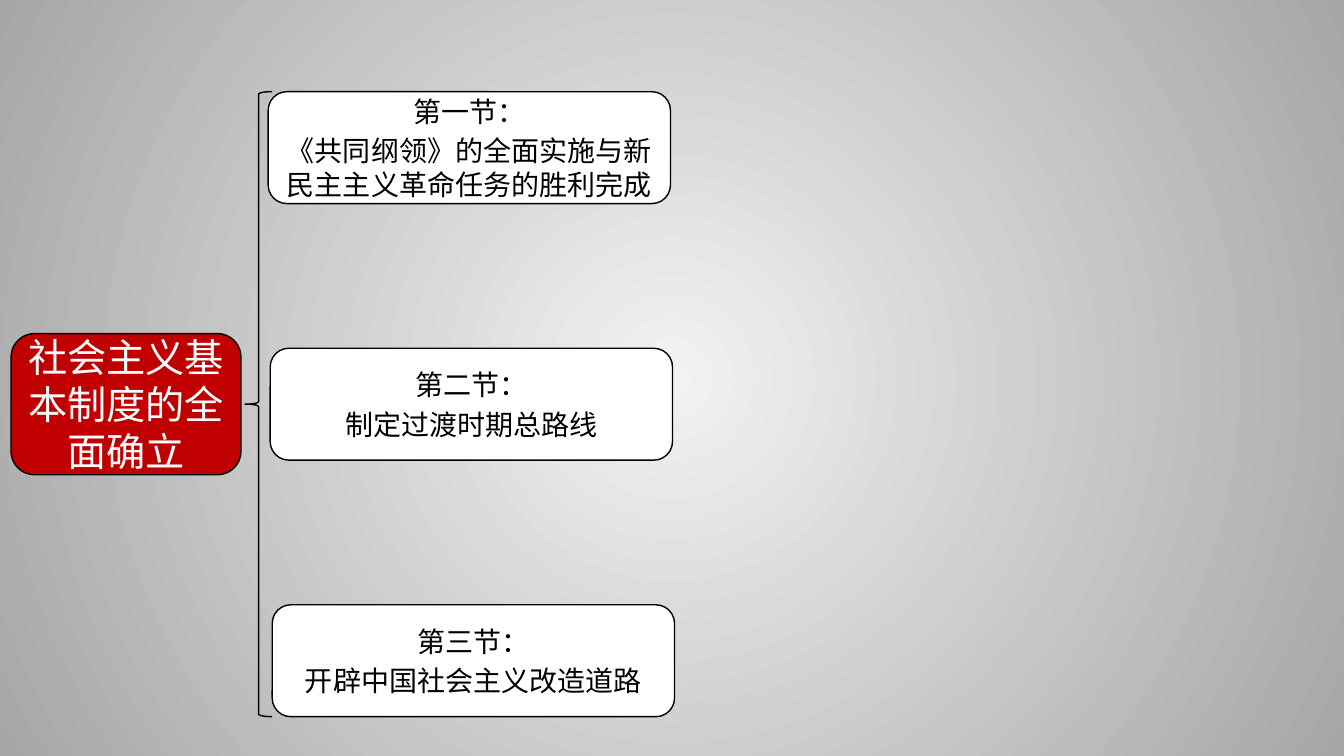
from lxml.etree import SubElement
from pptx import Presentation
from pptx.dml.color import RGBColor
from pptx.enum.shapes import MSO_SHAPE as Shape
from pptx.enum.text import MSO_ANCHOR as Anchor, PP_ALIGN as Align
from pptx.oxml.ns import qn
from pptx.util import Inches, Pt

COLORS = {"red": "C00000", "white": "FFFFFF", "black": "000000",
          "center": "F2F2F2", "edge": "A6A6A6"}
FONT = "Noto Sans CJK SC"
TOPIC = "社会主义基本制度的全面确立"
SECTIONS = [
    ("第一节：", "《共同纲领》的全面实施与新民主主义革命任务的胜利完成"),
    ("第二节：", "制定过渡时期总路线"),
    ("第三节：", "开辟中国社会主义改造道路"),
]


def rgb(name):
    return RGBColor.from_string(COLORS[name])


def paint_background(slide):
    fill = slide.background.fill
    fill.gradient()
    for stop, name in zip(fill.gradient_stops, ("center", "edge")):
        stop.color.rgb = rgb(name)
    grad = next(slide.element.iter(qn("a:gradFill")))
    grad.remove(grad.find(qn("a:lin")))
    circle = SubElement(grad, qn("a:path"), {"path": "circle"})
    SubElement(circle, qn("a:fillToRect"), dict.fromkeys("ltrb", "50000"))


def add_outline(slide, kind, box):
    sp = slide.shapes.add_shape(kind, *map(Inches, box))
    sp.shadow.inherit = False
    sp.line.color.rgb = rgb("black")
    sp.line.width = Pt(1)
    return sp


def add_card(slide, box, lines, fill, color, size):
    sp = add_outline(slide, Shape.ROUNDED_RECTANGLE, box)
    sp.fill.solid()
    sp.fill.fore_color.rgb = rgb(fill)
    tf = sp.text_frame
    tf.word_wrap = True
    tf.vertical_anchor = Anchor.MIDDLE
    for i, text in enumerate(lines):
        p = tf.add_paragraph() if i else tf.paragraphs[0]
        p.alignment = Align.CENTER
        p.space_before = Pt(0.2 * size if i else 0)
        r = p.add_run()
        r.text = text
        r.font.color.rgb = rgb(color)
        for key, value in {"size": Pt(size), "name": FONT}.items():
            setattr(r.font, key, value)
        SubElement(r.font._element, qn("a:ea"), {"typeface": FONT})


def add_brace(slide, box):
    add_outline(slide, Shape.LEFT_BRACE, box).fill.background()


def add_sections(slide, box, sections):
    left, top, width, height = box
    card_height, shift = 1.11, 0.02
    step = (height - card_height) / (len(sections) - 1)
    for i, lines in enumerate(sections):
        card = (left + i * shift, top + i * step, width, card_height)
        add_card(slide, card, lines, "white", "black", 20)


def add_tree(slide, box):
    left, top, height = box
    topic_height = 1.4
    topic_top = top + (height - topic_height) / 2
    add_card(slide, (left, topic_top, 2.28, topic_height), [TOPIC], "red", "white", 28)
    add_brace(slide, (left + 2.32, top, 0.27, height))
    add_sections(slide, (left + 2.55, top, 3.99, height), SECTIONS)


def main():
    prs = Presentation()
    prs.slide_width, prs.slide_height = Inches(13.33), Inches(7.5)
    slide = prs.slides.add_slide(prs.slide_layouts[6])
    paint_background(slide)
    add_tree(slide, (0.11, 0.91, 6.2))
    prs.save("out.pptx")


if __name__ == "__main__":
    main()
